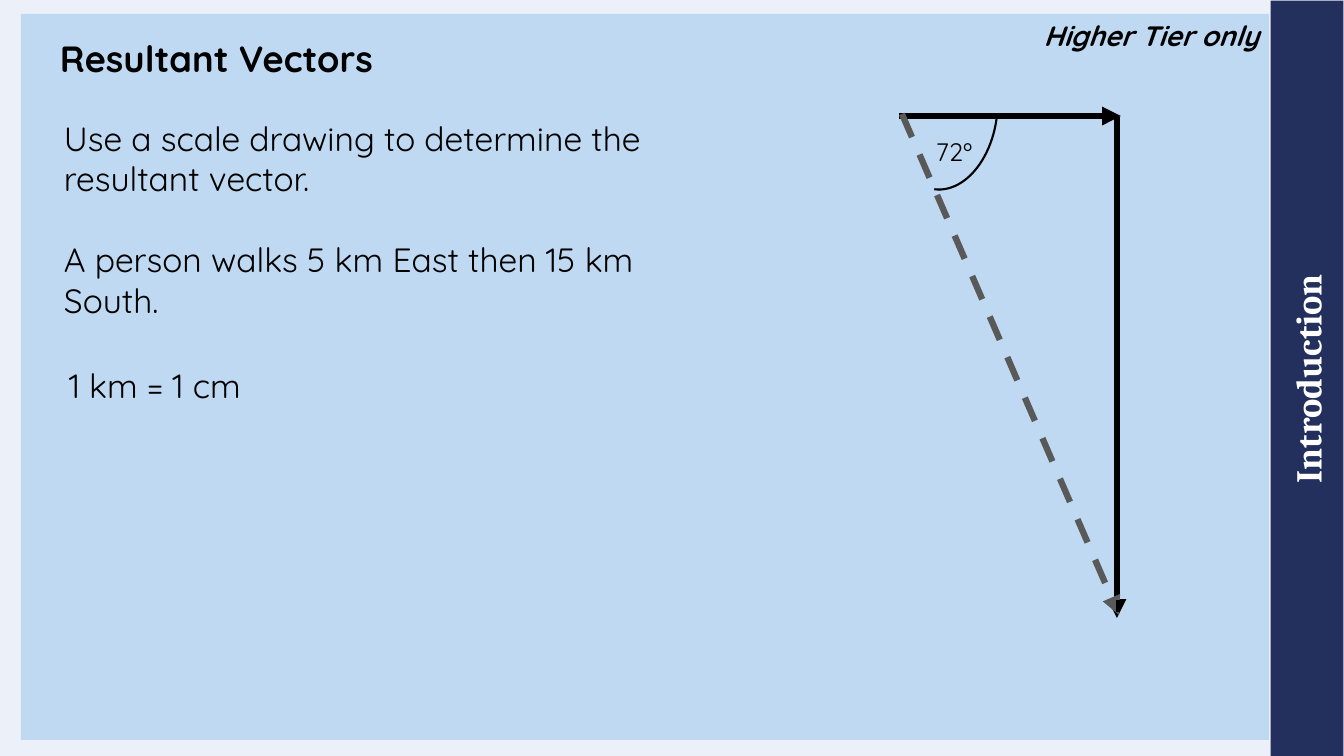
from lxml.etree import SubElement
from pptx import Presentation
from pptx.dml.color import RGBColor
from pptx.enum.dml import MSO_LINE
from pptx.enum.shapes import MSO_CONNECTOR, MSO_SHAPE
from pptx.enum.text import MSO_ANCHOR, PP_ALIGN
from pptx.oxml.ns import qn
from pptx.util import Pt

SCALE = 914400 / 100.8
BLACK = "000000"
NAVY = "232F5D"
SKY = "BED9F1"
PALE = "ECF1F9"
GREY = "595959"
WHITE = "FFFFFF"


def px(*nums):
    """Turn px lengths into EMU."""
    return [round(num * SCALE) for num in nums]


def paint(target, color):
    """Give a fill or line a solid colour."""
    target.solid()
    target.fore_color.rgb = RGBColor.from_string(color)


def write(shape, text, size, font="Quicksand", color=BLACK, bold=False,
          italic=False, align=PP_ALIGN.LEFT, anchor=MSO_ANCHOR.TOP,
          wrap=True, gap=0, inset=None, pitch=None):
    """Fill a shape with evenly styled paragraphs."""
    frame = shape.text_frame
    frame.text = text
    frame.word_wrap = wrap
    frame.vertical_anchor = anchor
    if inset is not None:
        frame.margin_left = frame.margin_right = inset
        frame.margin_top = frame.margin_bottom = inset
    for num, para in enumerate(frame.paragraphs):
        para.alignment = align
        para.line_spacing = pitch
        if num:
            para.space_before = Pt(gap)
        for run in para.runs:
            run.font.name = font
            run.font.size = Pt(size)
            run.font.bold = bold
            run.font.italic = italic
            run.font.color.rgb = RGBColor.from_string(color)


def label(slide, box, text, size, **style):
    """Add a text box."""
    write(slide.shapes.add_textbox(*px(*box)), text, size, **style)


def panel(slide, box, color, turn=0):
    """Add a plain filled rectangle."""
    shape = slide.shapes.add_shape(MSO_SHAPE.RECTANGLE, *px(*box))
    shape.shadow.inherit = False
    shape.rotation = turn
    paint(shape.fill, color)
    shape.line.fill.background()
    return shape


def stroke(slide, ends, color=BLACK, width=4.5, dash=False, head=True):
    """Add a straight line, with an arrowhead if wanted."""
    line = slide.shapes.add_connector(MSO_CONNECTOR.STRAIGHT, *px(*ends))
    paint(line.line.fill, color)
    line.line.width = Pt(width)
    if dash:
        line.line.dash_style = MSO_LINE.DASH
    if head:
        SubElement(line.line._get_or_add_ln(), qn("a:tailEnd"), type="triangle")
    SubElement(line._element.spPr, qn("a:effectLst"))


def arc(slide, box, turn):
    """Add the thin curve that marks the angle."""
    shape = slide.shapes.add_shape(MSO_SHAPE.ARC, *px(*box))
    shape.shadow.inherit = False
    shape.rotation = turn
    shape.fill.background()
    paint(shape.line.fill, BLACK)
    shape.line.width = Pt(1.5)


def main():
    """Build the slide and save it."""
    deck = Presentation()
    deck.slide_width, deck.slide_height = px(1344, 756)
    slide = deck.slides.add_slide(deck.slide_layouts[6])
    paint(slide.background.fill, PALE)

    side = panel(slide, (929, 342, 756, 73), NAVY, 270)
    write(side, "Introduction", 26, font="Cambria", color=WHITE, bold=True,
          align=PP_ALIGN.CENTER, anchor=MSO_ANCHOR.MIDDLE, inset=0)
    board = panel(slide, (21, 14, 1248, 726), SKY)
    write(board, "Higher Tier only", 20, bold=True, italic=True,
          align=PP_ALIGN.RIGHT)

    label(slide, (60, 0, 1170, 80), "Resultant Vectors", 26, bold=True,
          anchor=MSO_ANCHOR.BOTTOM, inset=0, pitch=0.9)
    task = ("Use a scale drawing to determine the resultant vector.\n"
            "A person walks 5 km East then 15 km South.")
    label(slide, (54, 113, 662, 214), task, 24, gap=29)
    label(slide, (59, 360, 219, 50), "1 km = 1 cm", 24, wrap=False)

    stroke(slide, (899, 116, 1121, 116))
    stroke(slide, (1117, 117, 1117, 618))
    stroke(slide, (902, 114, 1119, 615), color=GREY, dash=True)
    arc(slide, (867, 60, 156, 104), 97.9)
    stroke(slide, (1118, 117, 1118, 618), width=2.25, dash=True, head=False)
    label(slide, (883, 131, 99, 40), "72º", 18, align=PP_ALIGN.RIGHT)

    deck.save("out.pptx")


if __name__ == "__main__":
    main()
